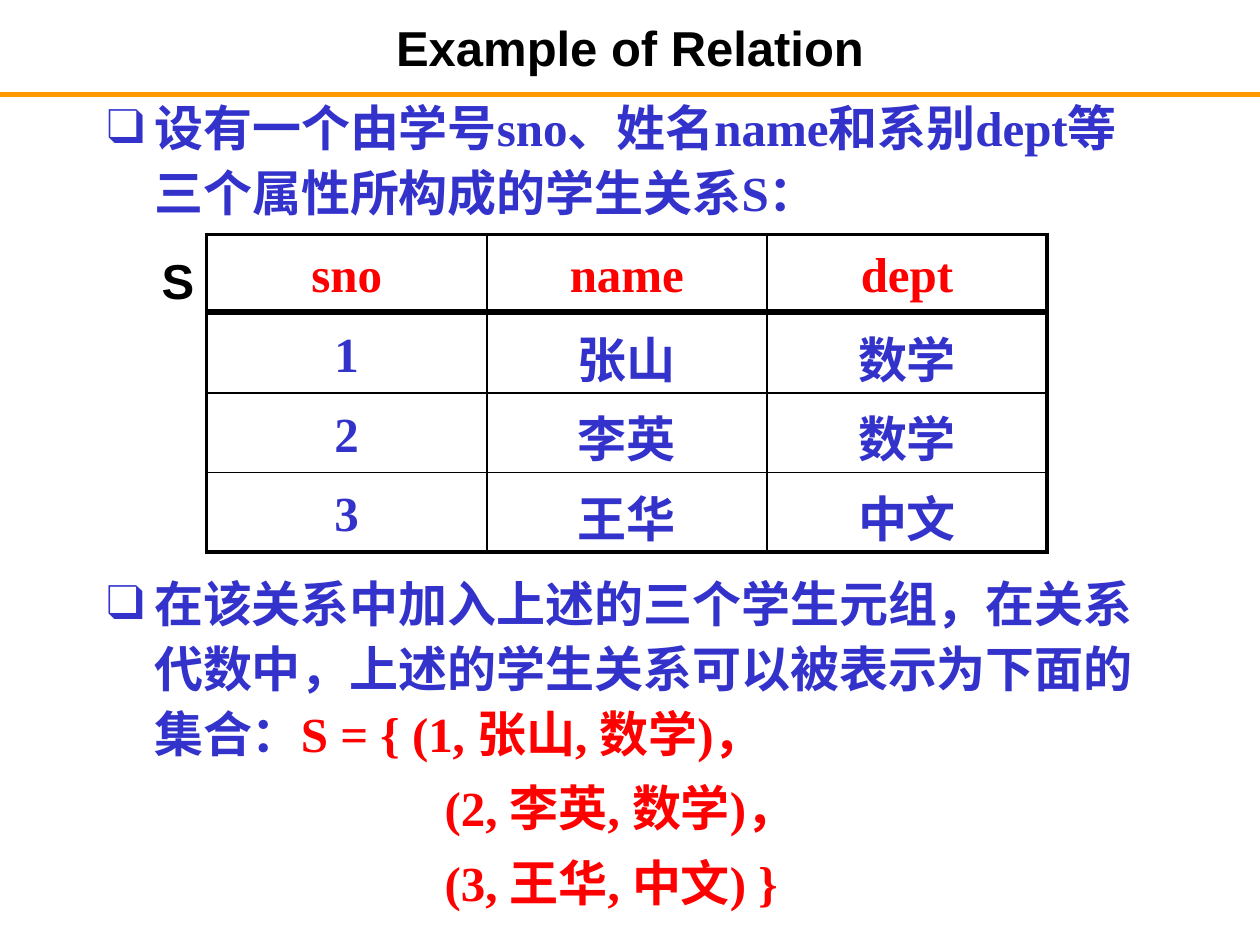
import lxml.etree
import pptx
import pptx.dml.color
import pptx.enum.shapes
import pptx.enum.text
import pptx.oxml.ns
import pptx.util

ALIGN = pptx.enum.text.PP_ALIGN
ANCHOR = pptx.enum.text.MSO_ANCHOR
COLUMNS, ROWS = 100, 75
BLACK, WHITE, BLUE, RED, ORANGE = "000000", "FFFFFF", "3333CC", "FF0000", "FF9900"
HEADING_FONT, BODY_FONT = "Arial", "Times New Roman"

prs = pptx.Presentation()
prs.slide_width = pptx.util.Inches(10)
prs.slide_height = pptx.util.Inches(7.5)


def color(value):
    return pptx.dml.color.RGBColor.from_string(value)


def across(columns):
    return round(prs.slide_width * columns / COLUMNS)


def down(rows):
    return round(prs.slide_height * rows / ROWS)


def grid_box(left, top, width, height):
    return across(left), down(top), across(width), down(height)


def place(shape, box):
    shape.left, shape.top, shape.width, shape.height = box


def add_xml(parent, tag, **attributes):
    return lxml.etree.SubElement(parent, pptx.oxml.ns.qn(tag), attributes)


def style_runs(paragraph, value, font=BODY_FONT):
    for run in paragraph.runs:
        run.font.name = font
        run.font.size = pptx.util.Pt(28)
        run.font.bold = True
        run.font.color.rgb = color(value)


def space_body(paragraph, align=ALIGN.LEFT):
    paragraph.alignment = align
    paragraph.line_spacing = 1.1
    paragraph.space_before = pptx.util.Pt(5.6)


def indent(paragraph, left, first, bullet=None):
    """Set the left margin and first-line offset in columns, and the bullet."""
    properties = paragraph._p.get_or_add_pPr()
    properties.set("marL", str(across(left)))
    properties.set("indent", str(across(first)))
    if bullet:
        add_xml(properties, "a:buFont", typeface=BODY_FONT)
        add_xml(properties, "a:buChar", char=bullet)
    else:
        add_xml(properties, "a:buNone")


def add_heading(slide, box):
    title = slide.shapes.title
    place(title, box)
    frame = title.text_frame
    frame.text = "Example of Relation"
    frame.vertical_anchor = ANCHOR.MIDDLE
    frame.auto_size = pptx.enum.text.MSO_AUTO_SIZE.NONE
    frame.paragraphs[0].alignment = ALIGN.CENTER
    style_runs(frame.paragraphs[0], BLACK, HEADING_FONT)


def add_rule(slide, row):
    rule = slide.shapes.add_connector(
        pptx.enum.shapes.MSO_CONNECTOR.STRAIGHT, 0, down(row), across(COLUMNS), down(row))
    rule.line.color.rgb = color(ORANGE)
    rule.line.width = pptx.util.Pt(3)
    add_xml(rule._element.spPr, "a:effectLst")


def add_definition(slide, box):
    definition = slide.placeholders[1]
    place(definition, box)
    frame = definition.text_frame
    frame.text = "设有一个由学号sno、姓名name和系别dept等三个属性所构成的学生关系S："
    frame.auto_size = pptx.enum.text.MSO_AUTO_SIZE.NONE
    space_body(frame.paragraphs[0])
    indent(frame.paragraphs[0], 3.75, -3.75, "❑")
    style_runs(frame.paragraphs[0], BLUE)


def add_relation_name(slide, box):
    frame = slide.shapes.add_textbox(*box).text_frame
    frame.word_wrap = True
    frame.text = "S"
    frame.paragraphs[0].alignment = ALIGN.RIGHT
    frame.paragraphs[0].space_before = pptx.util.Pt(14)
    style_runs(frame.paragraphs[0], BLACK, HEADING_FONT)


def set_borders(cell, outer_sides):
    """Draw the given sides heavy and the others thin."""
    properties = cell._tc.get_or_add_tcPr()
    for position, side in enumerate("LRTB"):
        width = pptx.util.Pt(2.25 if side in outer_sides else 1)
        border = lxml.etree.Element(pptx.oxml.ns.qn(f"a:ln{side}"), w=str(int(width)))
        add_xml(add_xml(border, "a:solidFill"), "a:srgbClr", val=BLACK)
        properties.insert(position, border)


def add_relation_table(slide, box, records, value, padding):
    table = slide.shapes.add_table(len(records), len(records[0]), *box).table
    table.first_row = table.horz_banding = False
    last_row, last_column = len(records) - 1, len(records[0]) - 1
    for r, record in enumerate(records):
        for c, entry in enumerate(record):
            cell = table.cell(r, c)
            cell.text = entry
            cell.fill.background()
            cell.vertical_anchor = ANCHOR.MIDDLE
            cell.margin_top = cell.margin_bottom = down(padding)
            space_body(cell.text_frame.paragraphs[0], ALIGN.CENTER)
            style_runs(cell.text_frame.paragraphs[0], value)
            outer = {"L": c == 0, "R": c == last_column, "T": r == 0, "B": r == last_row}
            set_borders(cell, [side for side in outer if outer[side]])


def add_set_notation(slide, box):
    notation = slide.shapes.add_shape(pptx.enum.shapes.MSO_SHAPE.RECTANGLE, *box)
    notation.shadow.inherit = False
    notation.fill.solid()
    notation.fill.fore_color.rgb = color(WHITE)
    notation.line.fill.background()
    frame = notation.text_frame
    frame.word_wrap = True
    frame.vertical_anchor = ANCHOR.TOP
    explanation = frame.paragraphs[0]
    explanation.text = "在该关系中加入上述的三个学生元组，在关系代数中，上述的学生关系可以被表示为下面的集合："
    style_runs(explanation, BLUE)
    explanation.add_run().text = "S = { (1, 张山, 数学)，"
    style_runs(explanation, RED)
    explanation.runs[0].font.color.rgb = color(BLUE)
    space_body(explanation)
    indent(explanation, 3.75, -3.75, "❑")
    for member in ("(2, 李英, 数学)，", "(3, 王华, 中文) }"):
        paragraph = frame.add_paragraph()
        paragraph.text = member
        space_body(paragraph)
        indent(paragraph, 26.8, 0)
        style_runs(paragraph, RED)


def build_relation_slide():
    slide = prs.slides.add_slide(prs.slide_layouts[1])
    add_rule(slide, 7.5)
    add_heading(slide, grid_box(7.5, 0.8, 85, 5.8))
    add_definition(slide, grid_box(7.5, 6.8, 85, 11))
    add_relation_table(slide, grid_box(16.4, 18.6, 66.7, 6.1),
                       [("sno", "name", "dept")], RED, padding=0.5)
    add_relation_name(slide, grid_box(10.9, 19.4, 5.5, 5.7))
    students = [("1", "张山", "数学"), ("2", "李英", "数学"), ("3", "王华", "中文")]
    add_relation_table(slide, grid_box(16.4, 24.9, 66.7, 18.9), students, BLUE, padding=0)
    add_set_notation(slide, grid_box(7.5, 44.6, 85, 30.4))


if __name__ == "__main__":
    build_relation_slide()
    prs.save("out.pptx")
